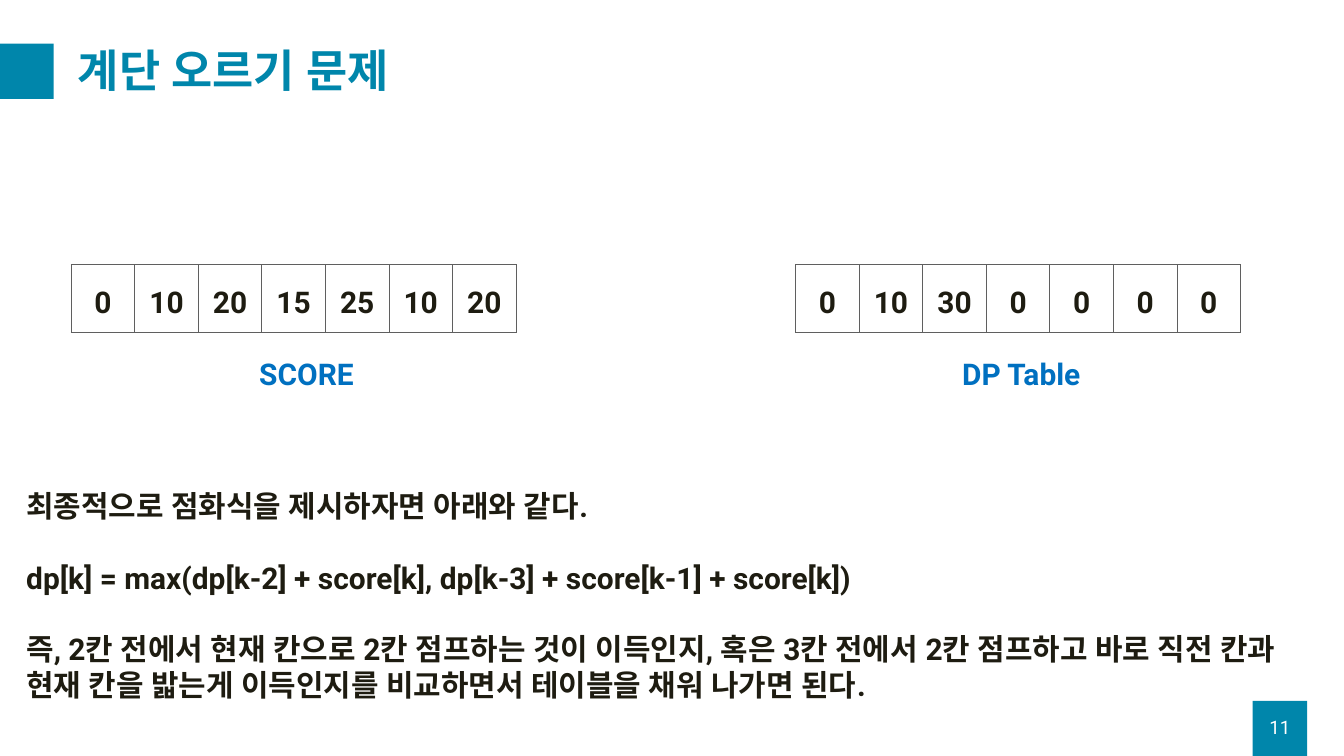
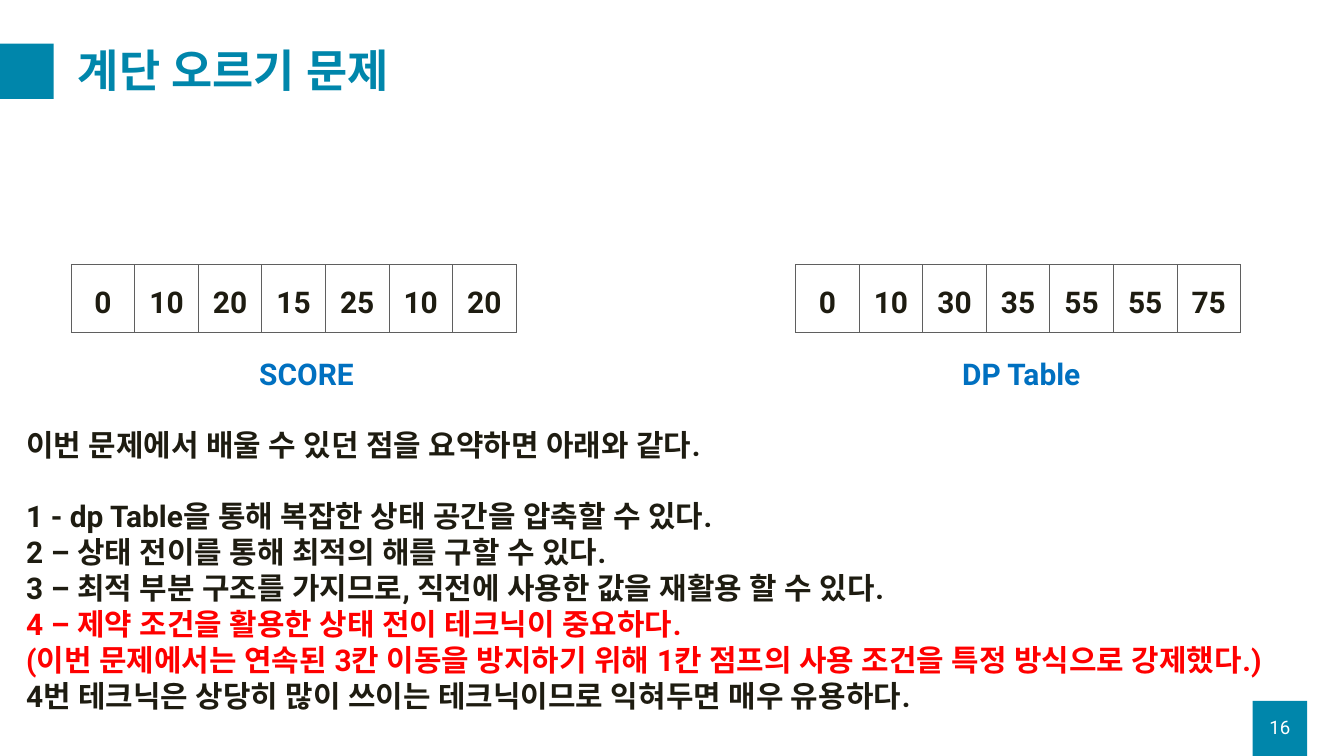
from dataclasses import dataclass

from lxml.etree import SubElement
from pptx import Presentation
from pptx.dml.color import RGBColor
from pptx.enum.shapes import MSO_SHAPE
from pptx.enum.text import MSO_ANCHOR, MSO_AUTO_SIZE, PP_ALIGN
from pptx.oxml.ns import qn
from pptx.shapes.base import BaseShape
from pptx.slide import Slide
from pptx.table import _Cell
from pptx.text.text import TextFrame
from pptx.util import Inches, Pt

HEX = {"teal": "0086AB", "ink": "1E1C11", "blue": "0070C0",
       "red": "FF0000", "grid": "5F5F5F", "white": "FFFFFF"}
FONT = "Roboto"
TITLE = "계단 오르기 문제"
GAP = Pt(38)  # one empty line of body text
BOX = (0.81, 0.82)
GRID_TOP, GRID_WIDTH, GRID_HEIGHT = 3.94, 6.62, 1.01
FRAME = {"word_wrap": True, "auto_size": MSO_AUTO_SIZE.NONE}


@dataclass(frozen=True)
class Line:
    text: str
    color: str = "ink"
    size: int = 32
    bold: bool = True
    gap: bool = False


@dataclass(frozen=True)
class Grid:
    label: str
    left: float
    label_left: float
    values: tuple[int, ...]


@dataclass(frozen=True)
class Page:
    number: int
    top: float
    width: float
    height: float
    table: tuple[int, ...]
    lines: tuple[Line, ...]


SCORE = (0, 10, 20, 15, 25, 10, 20)
PAGES = (
    Page(11, 7.21, 19.16, 3.33, (0, 10, 30, 0, 0, 0, 0), (
        Line("최종적으로 점화식을 제시하자면 아래와 같다."),
        Line("dp[k] = max(dp[k-2] + score[k], dp[k-3] + score[k-1] + score[k])", gap=True),
        Line("즉, 2칸 전에서 현재 칸으로 2칸 점프하는 것이 이득인지, "
             "혹은 3칸 전에서 2칸 점프하고 바로 직전 칸과 현재 칸을 밟는게 "
             "이득인지를 비교하면서 테이블을 채워 나가면 된다.", gap=True),
    )),
    Page(16, 6.3, 19.71, 4.41, (0, 10, 30, 35, 55, 55, 75), (
        Line("이번 문제에서 배울 수 있던 점을 요약하면 아래와 같다."),
        Line("1 - dp Table을 통해 복잡한 상태 공간을 압축할 수 있다.", gap=True),
        Line("2 – 상태 전이를 통해 최적의 해를 구할 수 있다."),
        Line("3 – 최적 부분 구조를 가지므로, 직전에 사용한 값을 재활용 할 수 있다."),
        Line("4 – 제약 조건을 활용한 상태 전이 테크닉이 중요하다.", "red"),
        Line("(이번 문제에서는 연속된 3칸 이동을 방지하기 위해 1칸 점프의 "
             "사용 조건을 특정 방식으로 강제했다.)", "red"),
        Line("4번 테크닉은 상당히 많이 쓰이는 테크닉이므로 익혀두면 매우 유용하다."),
    )),
)


def assign(target: object, values: dict) -> None:
    for name, value in values.items():
        setattr(target, name, value)


def place(shape: BaseShape, left: float, top: float, width: float, height: float) -> None:
    assign(shape, {"left": Inches(left), "top": Inches(top),
                   "width": Inches(width), "height": Inches(height)})


def write(frame: TextFrame, lines: tuple[Line, ...],
          align: PP_ALIGN = PP_ALIGN.LEFT, spacing: float = 1.0) -> None:
    for index, line in enumerate(lines):
        para = frame.add_paragraph() if index else frame.paragraphs[0]
        props = para._p.get_or_add_pPr()
        assign(para, {"alignment": align, "line_spacing": spacing,
                      "space_before": GAP if line.gap else Pt(0)})
        props.set("marL", "0")
        props.set("indent", "0")
        SubElement(props, qn("a:buNone"))
        run = para.add_run()
        run.text = line.text
        assign(run.font, {"name": FONT, "size": Pt(line.size), "bold": line.bold})
        run.font.color.rgb = RGBColor.from_string(HEX[line.color])
        SubElement(run.font._element, qn("a:ea"), typeface=FONT)


def add_box(slide: Slide, left: float, top: float) -> None:
    box = slide.shapes.add_shape(MSO_SHAPE.RECTANGLE, 0, 0, 0, 0)
    place(box, left, top, *BOX)
    box.shadow.inherit = False
    box.fill.solid()
    box.fill.fore_color.rgb = RGBColor.from_string(HEX["teal"])
    box.line.fill.background()


def add_text(slide: Slide, line: Line, left: float, top: float, width: float,
             height: float, align: PP_ALIGN = PP_ALIGN.LEFT,
             anchor: MSO_ANCHOR = MSO_ANCHOR.TOP) -> None:
    box = slide.shapes.add_textbox(0, 0, 0, 0)
    place(box, left, top, width, height)
    assign(box.text_frame, FRAME | {"vertical_anchor": anchor})
    write(box.text_frame, (line,), align)


def outline(cell: _Cell) -> None:
    props = cell._tc.get_or_add_tcPr()
    for side in ("lnL", "lnR", "lnT", "lnB"):
        edge = SubElement(props, qn(f"a:{side}"), w=str(Pt(1)))
        fill = SubElement(edge, qn("a:solidFill"))
        SubElement(fill, qn("a:srgbClr"), val=HEX["grid"])


def add_grid(slide: Slide, grid: Grid) -> None:
    count = len(grid.values)
    table = slide.shapes.add_table(
        1, count, Inches(grid.left), Inches(GRID_TOP),
        Inches(GRID_WIDTH), Inches(GRID_HEIGHT)).table
    assign(table, {"first_row": False, "horz_banding": False})
    for col, value in enumerate(grid.values):
        table.columns[col].width = Inches(GRID_WIDTH / count)
        cell = table.cell(0, col)
        outline(cell)
        cell.fill.background()
        write(cell.text_frame, (Line(str(value)),), PP_ALIGN.CENTER, 1.5)
    add_text(slide, Line(grid.label, "blue"), grid.label_left, 5.24, 3.14, 0.64)


def add_frame(slide: Slide, number: int) -> None:
    """Draw the title, its marker and the page number."""
    add_box(slide, 18.64, 10.43)
    add_box(slide, -0.01, 0.65)
    title = slide.shapes.title
    place(title, 1.06, 0.5, 18.25, 1.18)
    assign(title.text_frame, FRAME | {"vertical_anchor": MSO_ANCHOR.MIDDLE})
    write(title.text_frame, (Line(TITLE, "teal", 48),), spacing=0.9)
    add_text(slide, Line(str(number), "white", 20, False), 18.64, 10.52, 0.81, 0.6,
             PP_ALIGN.CENTER, MSO_ANCHOR.MIDDLE)


def add_page(deck: Presentation, page: Page) -> None:
    slide = deck.slides.add_slide(deck.slide_layouts[1])
    add_frame(slide, page.number)
    body = slide.placeholders[1]
    place(body, 0.29, page.top, page.width, page.height)
    assign(body.text_frame, FRAME | {"vertical_anchor": MSO_ANCHOR.TOP})
    write(body.text_frame, page.lines)
    add_grid(slide, Grid("SCORE", 1.06, 3.76, SCORE))
    add_grid(slide, Grid("DP Table", 11.84, 14.22, page.table))


def main() -> None:
    deck = Presentation()
    assign(deck, {"slide_width": Inches(20), "slide_height": Inches(11.25)})
    for page in PAGES:
        add_page(deck, page)
    deck.save("out.pptx")


if __name__ == "__main__":
    main()
